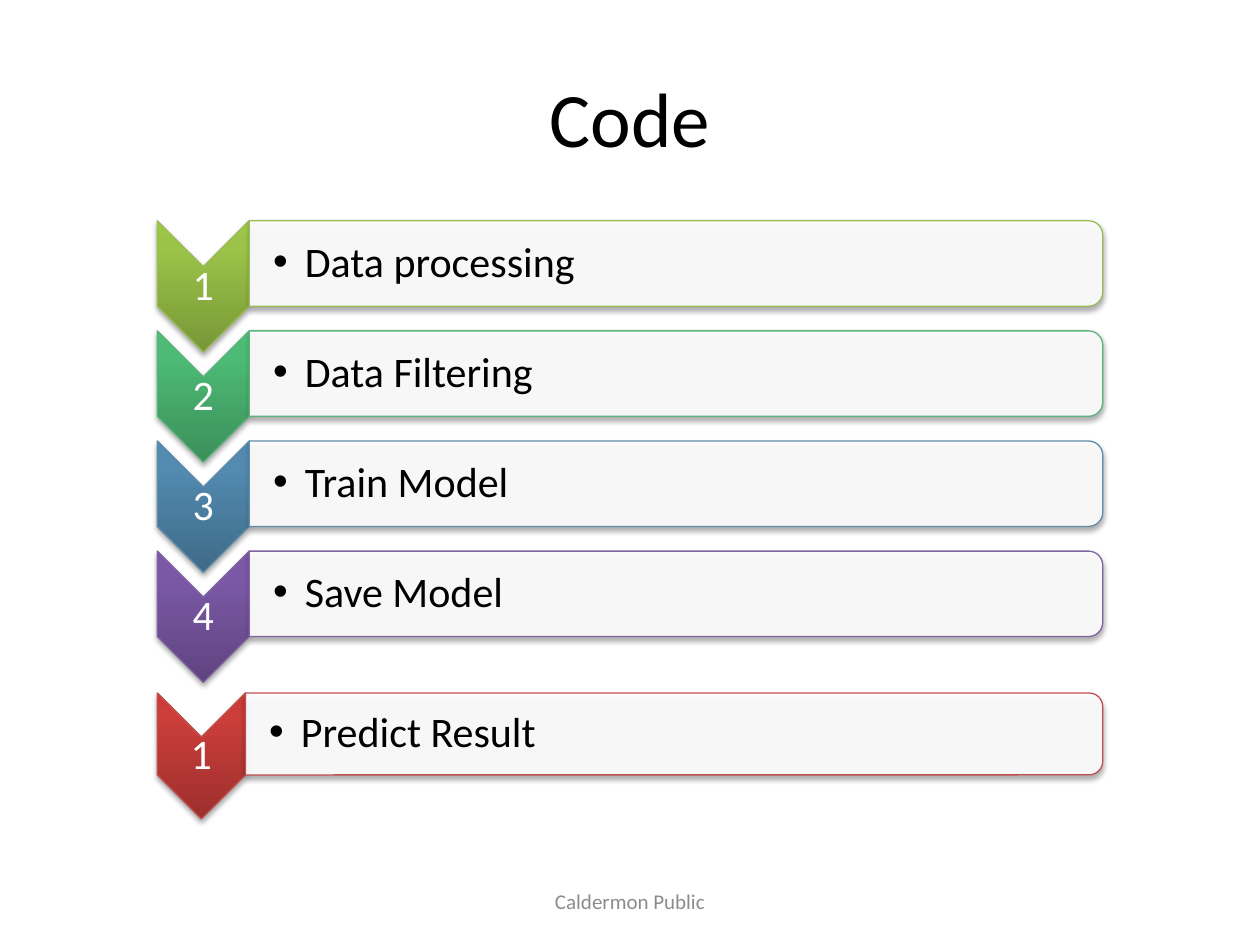
from lxml.etree import SubElement
from pptx import Presentation
from pptx.dml.color import RGBColor
from pptx.enum.shapes import MSO_SHAPE
from pptx.enum.text import MSO_ANCHOR, PP_ALIGN
from pptx.oxml import parse_xml
from pptx.oxml.ns import nsdecls, qn
from pptx.util import Cm, Pt

BLACK = RGBColor(0x00, 0x00, 0x00)
WHITE = RGBColor(0xFF, 0xFF, 0xFF)
GRAY = RGBColor(0x8C, 0x8C, 0x8C)
GREEN = RGBColor(0x9B, 0xBB, 0x59)
TEAL = RGBColor(0x5C, 0xB3, 0x7C)
BLUE = RGBColor(0x60, 0x8C, 0xAB)
PURPLE = RGBColor(0x80, 0x64, 0xA2)
RED = RGBColor(0xC0, 0x50, 0x4D)
GREEN_STOPS = [RGBColor(0x77, 0x97, 0x37), RGBColor(0x9B, 0xC3, 0x48), RGBColor(0x9D, 0xC7, 0x46)]
TEAL_STOPS = [RGBColor(0x3B, 0x8F, 0x5A), RGBColor(0x4D, 0xBA, 0x75), RGBColor(0x4B, 0xBD, 0x75)]
BLUE_STOPS = [RGBColor(0x3F, 0x6A, 0x88), RGBColor(0x52, 0x8A, 0xB0), RGBColor(0x51, 0x8B, 0xB3)]
PURPLE_STOPS = [RGBColor(0x5F, 0x44, 0x80), RGBColor(0x7B, 0x58, 0xA6), RGBColor(0x7C, 0x57, 0xA8)]
RED_STOPS = [RGBColor(0x9C, 0x2F, 0x2D), RGBColor(0xCB, 0x3E, 0x3A), RGBColor(0xCE, 0x3B, 0x37)]

FIRST_TOP, ROW_PITCH, LAST_TOP = 4.45, 2.22, 13.97
CHEVRON_LEFT, BAR_RIGHT = 3.17, 22.23
STEPS = [
    ("1", "Data processing", FIRST_TOP, 2.65, GREEN, GREEN_STOPS),
    ("2", "Data Filtering", FIRST_TOP + ROW_PITCH, 2.65, TEAL, TEAL_STOPS),
    ("3", "Train Model", FIRST_TOP + 2 * ROW_PITCH, 2.65, BLUE, BLUE_STOPS),
    ("4", "Save Model", FIRST_TOP + 3 * ROW_PITCH, 2.65, PURPLE, PURPLE_STOPS),
    ("1", "Predict Result", LAST_TOP, 2.54, RED, RED_STOPS),
]


def write_text(shape, text, *, size, color=BLACK, align=PP_ALIGN.CENTER,
               left_inset=0.25, inset=0.04, line_spacing=1.0, bullet=False):
    frame = shape.text_frame
    frame.word_wrap = True
    frame.vertical_anchor = MSO_ANCHOR.MIDDLE
    frame.margin_left = Cm(left_inset)
    frame.margin_top = frame.margin_right = frame.margin_bottom = Cm(inset)
    paragraph = frame.paragraphs[0]
    paragraph.alignment = align
    paragraph.line_spacing = line_spacing
    run = paragraph.add_run()
    run.text = text
    run.font.name = "Calibri"
    run.font.size = Pt(size)
    run.font.color.rgb = color
    if bullet:
        properties = paragraph._p.get_or_add_pPr()
        properties.set("marL", str(Cm(0.64)))
        properties.set("indent", str(-Cm(0.64)))
        SubElement(properties, qn("a:buFont")).set("typeface", "Arial")
        SubElement(properties, qn("a:buChar")).set("char", "•")


def add_turned_shape(slide, kind, left, top, width, height, line_color):
    shape = slide.shapes.add_shape(
        kind, Cm(left + (width - height) / 2), Cm(top + (height - width) / 2),
        Cm(height), Cm(width))
    shape.rotation = 90
    shape.line.color.rgb = line_color
    shape.line.width = Pt(0.75)
    properties = shape._element.spPr
    properties.append(parse_xml(
        f'<a:effectLst {nsdecls("a")}><a:outerShdw blurRad="{Pt(3.1)}" dist="{Pt(1.8)}" '
        'dir="5400000" rotWithShape="0"><a:srgbClr val="000000"><a:alpha val="35000"/>'
        '</a:srgbClr></a:outerShdw></a:effectLst>'))
    return shape


presentation = Presentation()
presentation.slide_width = Cm(25.4)
presentation.slide_height = Cm(19.05)
slide = presentation.slides.add_slide(presentation.slide_layouts[5])

title = slide.shapes.title
title.left, title.top, title.width, title.height = Cm(1.27), Cm(0.76), Cm(22.86), Cm(3.18)
write_text(title, "Code", size=44, left_inset=0.25, inset=0.25)

for number, label, top, chevron_height, color, stops in STEPS:
    chevron_width = 0.7 * chevron_height
    bar_height = 0.65 * chevron_height
    bar_left = CHEVRON_LEFT + chevron_width
    bar_width = BAR_RIGHT - bar_left

    chevron = add_turned_shape(slide, MSO_SHAPE.CHEVRON, CHEVRON_LEFT, top,
                               chevron_width, chevron_height, color)
    stop_xml = "".join(
        f'<a:gs pos="{position}"><a:srgbClr val="{stop}"/></a:gs>'
        for position, stop in zip((0, 80000, 100000), stops))
    gradient = parse_xml(
        f'<a:gradFill {nsdecls("a")} rotWithShape="0"><a:gsLst>{stop_xml}</a:gsLst>'
        '<a:lin ang="16200000" scaled="0"/></a:gradFill>')
    chevron._element.spPr.find(qn("a:prstGeom")).addnext(gradient)

    number_box = slide.shapes.add_textbox(
        Cm(CHEVRON_LEFT), Cm(top + chevron_width / 2),
        Cm(chevron_width), Cm(chevron_height - chevron_width))
    write_text(number_box, number, size=24, color=WHITE, left_inset=0.04, line_spacing=0.9)

    bar = add_turned_shape(slide, MSO_SHAPE.ROUND_2_SAME_RECTANGLE, bar_left, top,
                           bar_width, bar_height, color)
    bar.fill.solid()
    bar.fill.fore_color.rgb = WHITE
    bar_color = bar._element.spPr.find(qn("a:solidFill")).find(qn("a:srgbClr"))
    SubElement(bar_color, qn("a:alpha")).set("val", "90000")

    label_box = slide.shapes.add_textbox(
        Cm(bar_left), Cm(top + 0.08), Cm(bar_width - 0.08), Cm(bar_height - 0.16))
    write_text(label_box, label, size=24, align=PP_ALIGN.LEFT, left_inset=0.48,
               line_spacing=0.9, bullet=True)

footer = slide.shapes.add_textbox(Cm(8.68), Cm(17.66), Cm(8.04), Cm(1.01))
write_text(footer, "Caldermon Public", size=12, color=GRAY, inset=0.25)

presentation.save("out.pptx")
